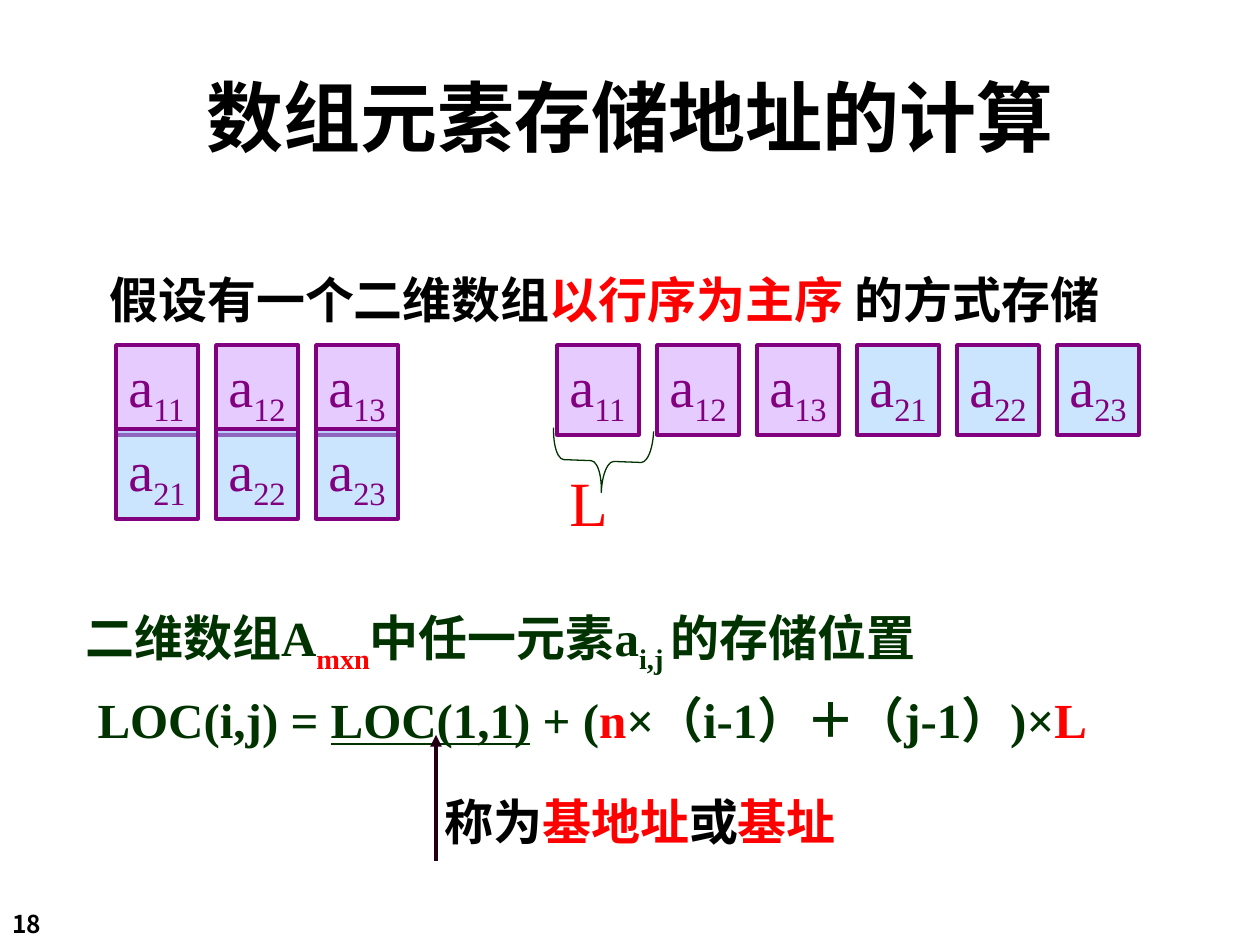
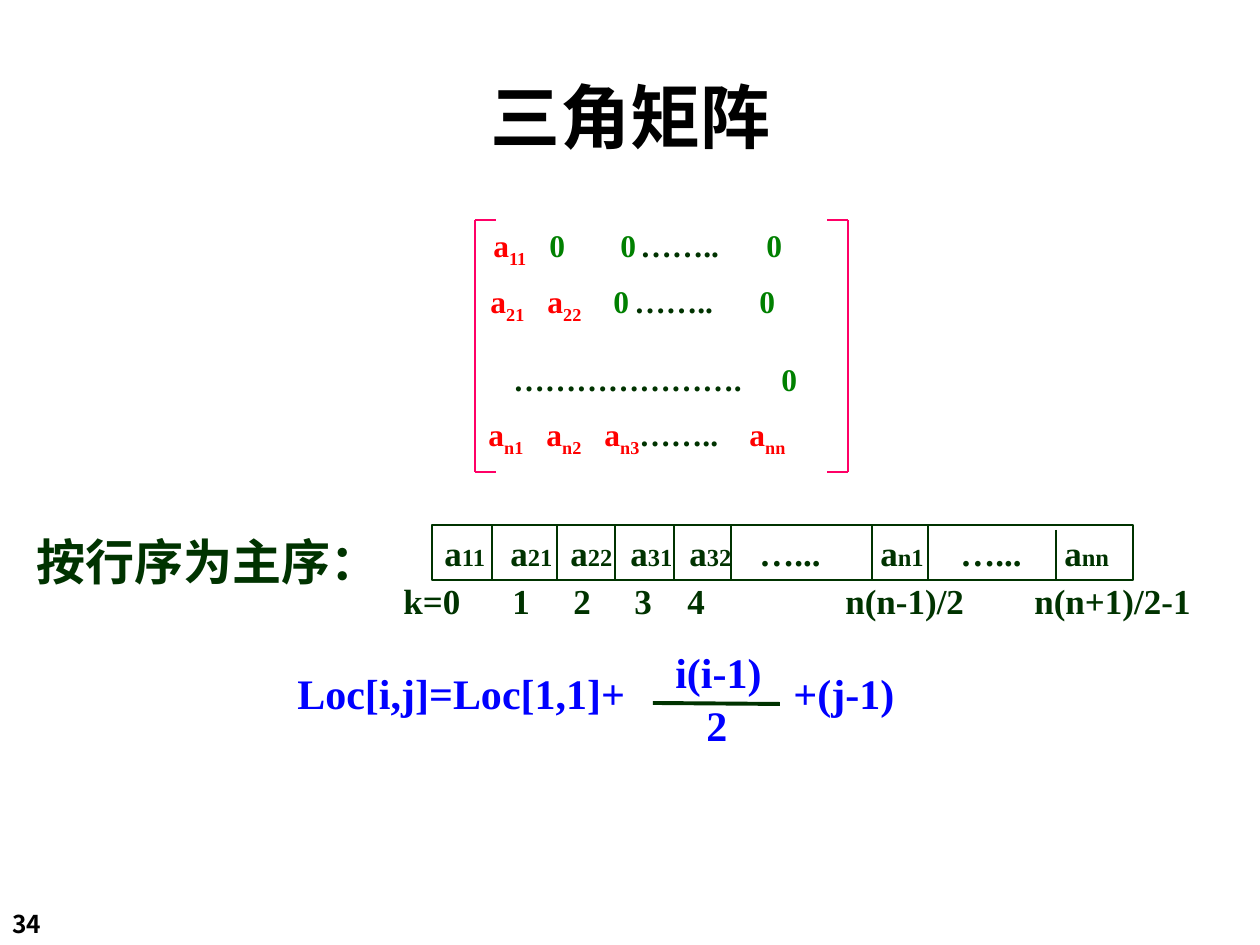
import pptx
import pptx.util
import pptx.dml.color
import pptx.enum.text
import pptx.enum.shapes
import pptx.enum.lang
import pptx.oxml.ns
import lxml.etree

SCALE = 914400 / 126
INK = {
    "black": "000000", "red": "FF0000", "pine": "003300", "green": "008000",
    "blue": "0000FF", "plum": "800080", "lilac": "CC99FF", "sky": "99CCFF",
    "pink": "FF0066", "dark": "220011",
}
SERIF = "Times New Roman"
SANS = "Noto Sans CJK SC"
ALIGN = pptx.enum.text.PP_ALIGN
ANCHOR = pptx.enum.text.MSO_ANCHOR
SHAPE = pptx.enum.shapes.MSO_SHAPE
LINK = pptx.enum.shapes.MSO_CONNECTOR
CHINESE = pptx.enum.lang.MSO_LANGUAGE_ID.SIMPLIFIED_CHINESE
QN = pptx.oxml.ns.qn


def px(*nums):
    return [pptx.util.Emu(round(num * SCALE)) for num in nums]


def rgb(name):
    return pptx.dml.color.RGBColor.from_string(INK[name])


def style(run, size=28, font=SERIF, color="pine", bold=True, line=None, low=False):
    face = run.font
    face.size = pptx.util.Pt(size)
    face.name = font
    face.bold = bold
    face.underline = line
    face.color.rgb = rgb(color)
    face.language_id = CHINESE
    if low:
        run._r.get_or_add_rPr().set("baseline", "-25000")


def write(frame, text, align=ALIGN.LEFT, anchor=ANCHOR.TOP, wrap=True, lead=None, **form):
    frame.word_wrap = wrap
    frame.vertical_anchor = anchor
    lines = [[(text, {})]] if isinstance(text, str) else text
    for num, runs in enumerate(lines):
        para = frame.add_paragraph() if num else frame.paragraphs[0]
        para.alignment = align
        para.line_spacing = lead
        for words, extra in runs:
            run = para.add_run()
            run.text = words
            style(run, **{**form, **extra})


def label(page, box, text, **form):
    write(page.shapes.add_textbox(*px(*box)).text_frame, text, **form)


def shape(page, kind, box, color, width, fill=None):
    item = page.shapes.add_shape(kind, *px(*box))
    item.shadow.inherit = False
    item.line.color.rgb = rgb(color)
    item.line.width = pptx.util.Pt(width)
    if fill:
        item.fill.solid()
        item.fill.fore_color.rgb = rgb(fill)
        tone = item._element.spPr.find(QN("a:solidFill")).find(QN("a:srgbClr"))
        lxml.etree.SubElement(tone, QN("a:alpha")).set("val", "50000")
    else:
        item.fill.background()
    return item


def rule(page, ends, color, width, arrow=False):
    item = page.shapes.add_connector(LINK.STRAIGHT, *px(*ends))
    item.line.color.rgb = rgb(color)
    item.line.width = pptx.util.Pt(width)
    if arrow:
        stroke = item.line._get_or_add_ln()
        lxml.etree.SubElement(stroke, QN("a:tailEnd")).set("type", "triangle")
    lxml.etree.SubElement(item._element.spPr, QN("a:effectLst"))


def start(deck, title, size, number):
    page = deck.slides.add_slide(deck.slide_layouts[6])
    label(page, (0, 903, 105, 43), number, size=14, font=SANS, color="black")
    label(page, (53, 53, 1155, 126), title, size=size, font=SANS, color="black",
          align=ALIGN.CENTER, anchor=ANCHOR.MIDDLE)
    return page


def red(text, **form):
    return text, {"color": "red", **form}


def plain(text, **form):
    return text, form


def cells(page, left, top, rows):
    for down, row in enumerate(rows):
        for over, index in enumerate(row):
            box = (left + over * 100, top + down * 84, 82, 90)
            fill = "lilac" if index[0] == "1" else "sky"
            item = shape(page, SHAPE.RECTANGLE, box, "plum", 2, fill)
            write(item.text_frame, [[plain("a"), plain(index, low=True)]],
                  size=32, color="plum", bold=False, wrap=False)


def unit(page, left, top):
    brace = shape(page, SHAPE.LEFT_BRACE, (left + 14, top, 63, 100), "pine", 0.75)
    brace.rotation = 272.1
    brace.adjustments[0] = 0.18
    label(page, (left, top + 46, 81, 88), "L", size=36, color="red", bold=False)


def formula(page, left, top):
    label(page, (left, top, 1097, 170), [
        [plain("二维数组A"), red("mxn", low=True), plain("中任一元素a"),
         plain("i,j ", low=True), plain("的存储位置")],
        [plain(" LOC(i,j) = "), plain("LOC(1,1)", line=True), plain(" + ("),
         red("n"), plain("×（i-1）＋（j-1）)×"), red("L")],
    ], lead=1.25, wrap=False)
    rule(page, (left + 363, top + 276, left + 363, top + 150), "dark", 2.25, True)
    label(page, (left + 359, top + 200, 609, 72),
          [[plain("称为"), red("基地址"), plain("或"), red("基址")]], color="black")


def address(deck):
    page = start(deck, "数组元素存储地址的计算", 44, "18")
    label(page, (97, 263, 1077, 72),
          [[plain("假设有一个二维数组"), red("以行序为主序"), plain(" 的方式存储")]],
          color="black")
    rows = [[f"{row}{col}" for col in (1, 2, 3)] for row in (1, 2)]
    cells(page, 116, 345, rows)
    cells(page, 557, 345, [rows[0] + rows[1]])
    unit(page, 557, 411)
    formula(page, 73, 585)


def term(index):
    return [red("a"), red(index, low=True)]


def matrix(page, left, top, wide, high):
    zero = [plain("0", color="green")]
    dots = [plain("……..")]
    rows = [
        (0, [(6, term("11")), (62, zero), (133, zero), (153, dots), (279, zero)]),
        (56, [(3, term("21")), (60, term("22")), (126, zero), (147, dots), (272, zero)]),
        (134, [(26, [plain("………………….")]), (294, zero)]),
        (189, [(1, term("n1")), (59, term("n2")), (117, term("n3") + dots),
               (262, term("nn"))]),
    ]
    for down, parts in rows:
        for over, runs in parts:
            label(page, (left + over, top + down, 280, 55), [runs], size=18)
    for edge, tip in ((left, left + 21), (left + wide, left + wide - 21)):
        rule(page, (edge, top, edge, top + high), "pink", 1.5)
        for level in (top, top + high):
            rule(page, (edge, level, tip, level), "pink", 1.5)


def band(page, left, top, wide, high):
    label(page, (left - 408, top, 368, 72), "按行序为主序：",
          align=ALIGN.CENTER, anchor=ANCHOR.MIDDLE, wrap=False)
    shape(page, SHAPE.RECTANGLE, (left, top, wide, high), "pine", 0.75)
    for over in (60, 125, 183, 242, 299, 440, 496, 624):
        drop = 5 if over == 624 else 0
        rule(page, (left + over, top + drop, left + over, top + high + 1), "pine", 0.75)
    items = [(0, "11"), (66, "21"), (126, "22"), (186, "31"), (245, "32"),
             (436, "n1"), (620, "nn")]
    for over, index in items:
        label(page, (left + over, top, 90, high), [[plain("a"), plain(index, size=14)]],
              size=20, anchor=ANCHOR.MIDDLE)
    for over in (295, 496):
        label(page, (left + over, top, 126, high), "…...", size=20,
              align=ALIGN.CENTER, anchor=ANCHOR.MIDDLE)
    marks = [(-41, "k=0"), (68, "1"), (129, "2"), (190, "3"), (243, "4"),
             (401, "n(n-1)/2"), (590, "n(n+1)/2-1")]
    for over, mark in marks:
        label(page, (left + over, top + 48, 200, high), mark, size=20,
              anchor=ANCHOR.MIDDLE)


def locate(page, left, top):
    parts = [(0, 21, 370, "Loc[i,j]=Loc[1,1]+"), (378, 0, 116, "i(i-1)"),
             (409, 53, 69, "2"), (496, 21, 130, "+(j-1)")]
    for over, down, wide, text in parts:
        label(page, (left + over, top + down, wide, 63), text, size=24, color="blue")
    rule(page, (left + 368, top + 63, left + 495, top + 64), "pine", 2.25)


def triangle(deck):
    page = start(deck, "三角矩阵", 40, "34")
    matrix(page, 475, 220, 373, 252)
    band(page, 432, 525, 701, 55)
    locate(page, 285, 640)


def main():
    deck = pptx.Presentation()
    deck.slide_width, deck.slide_height = px(1260, 945)
    address(deck)
    triangle(deck)
    deck.save("out.pptx")


if __name__ == "__main__":
    main()
